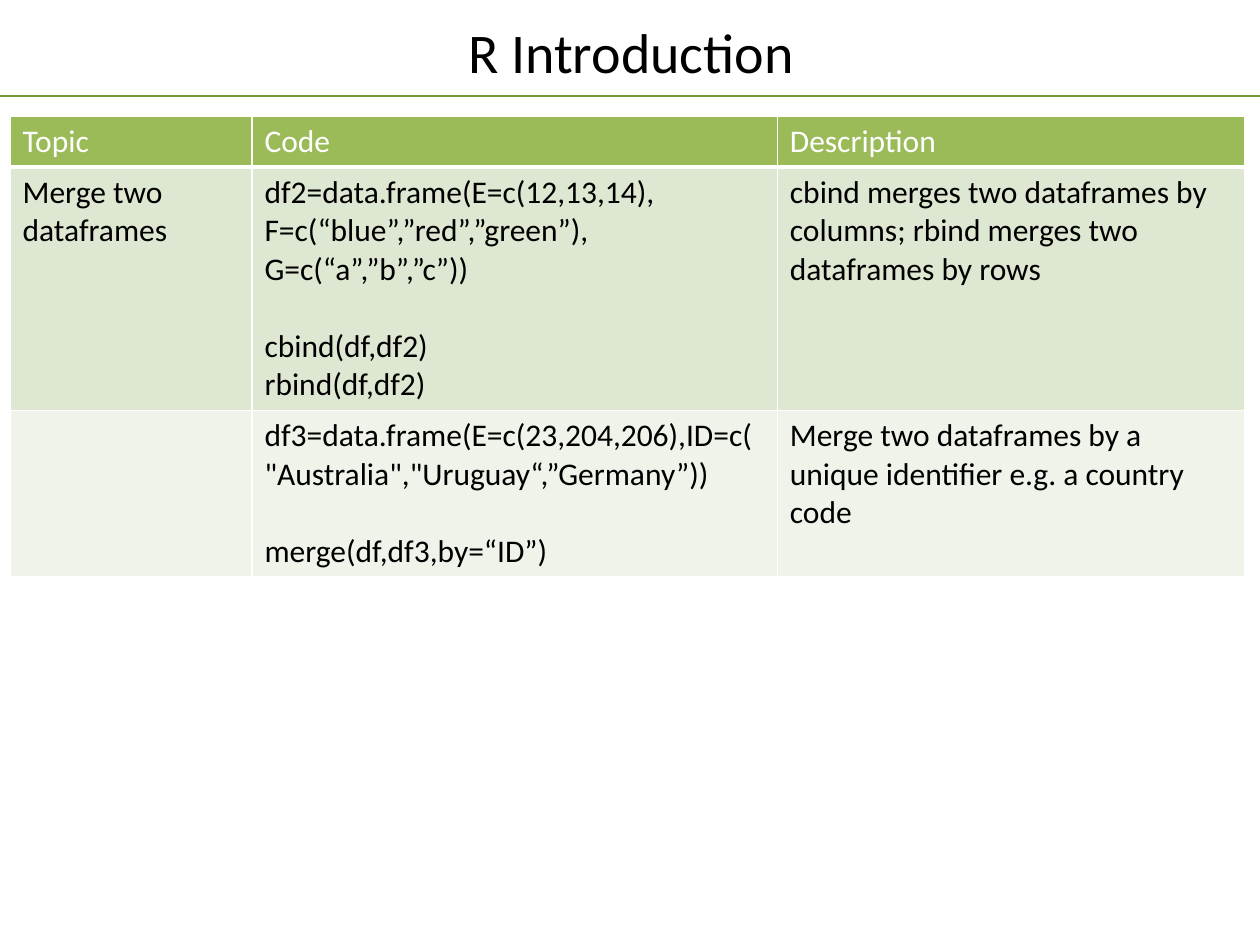
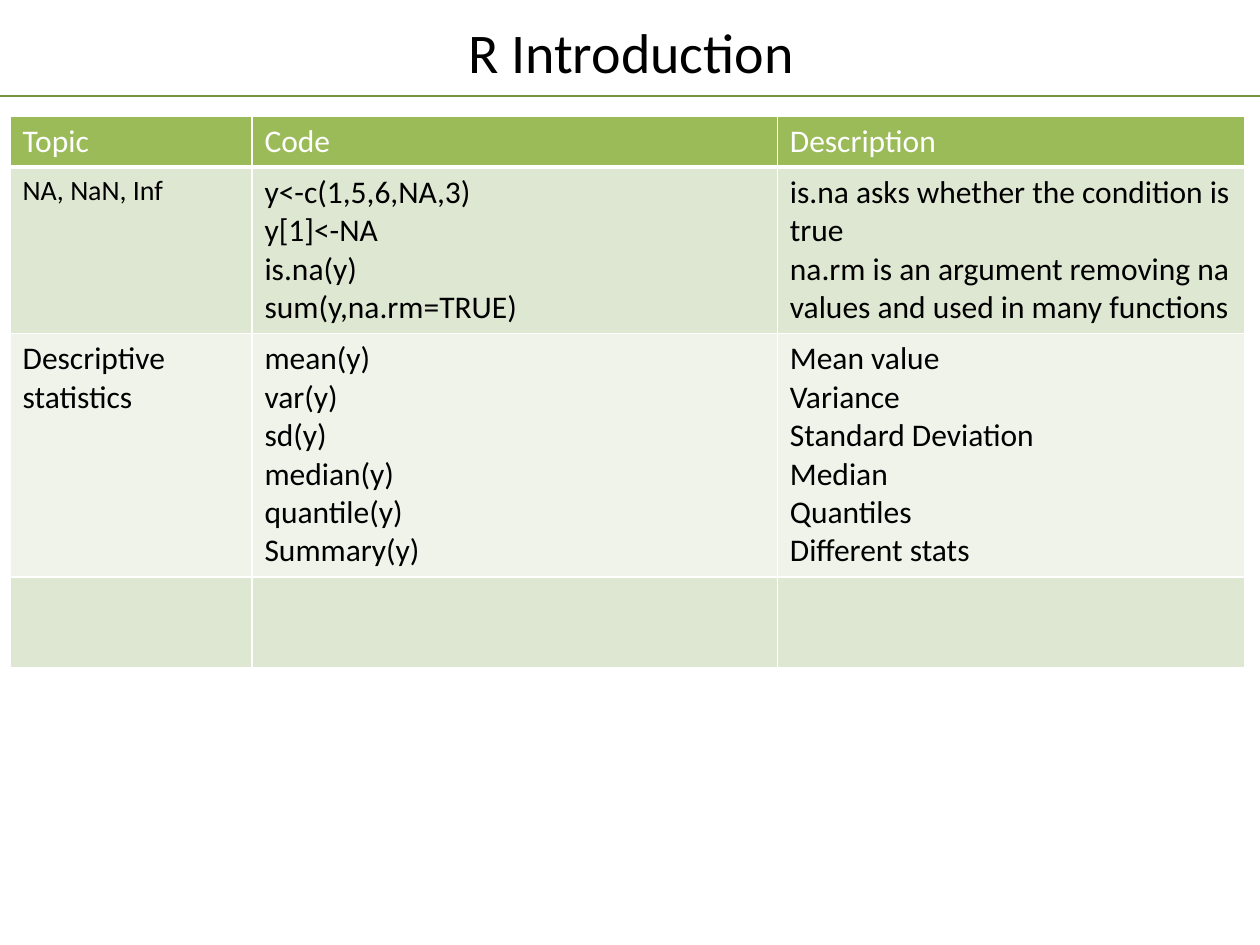
from lxml import etree
from pptx import Presentation
from pptx import util as u
from pptx.dml import color
from pptx.enum import shapes, text
from pptx.oxml import ns

COLORS = {
    "rule": "77933C",
    "header": "9BBB59",
    "band_dark": "DEE7D1",
    "band_light": "EFF3EA",
    "white": "FFFFFF",
    "black": "000000",
}
FONT = "Calibri"
TITLE_SIZE, BODY_SIZE, SMALL_SIZE = 32, 18, 16
LINE_GAP = 22
GRID_COLUMNS, GRID_ROWS = 100, 75
TABLE_COLUMNS = (19.2, 41.7, 37.1)
HEADER_ROW, BODY_ROW = 3.3, 7.2
HEADINGS = ("Topic", "Code", "Description")


class Deck:
    def __init__(self):
        self.presentation = Presentation()
        self.presentation.slide_width = u.Inches(10)
        self.presentation.slide_height = u.Inches(7.5)
        self.slide = None

    def across(self, columns):
        return round(self.presentation.slide_width * columns / GRID_COLUMNS)

    def down(self, rows):
        return round(self.presentation.slide_height * rows / GRID_ROWS)

    def box(self, left, top, width, height):
        return self.across(left), self.down(top), self.across(width), self.down(height)

    def rgb(self, name):
        return color.RGBColor.from_string(COLORS[name])

    def style(self, paragraph, size, color_name):
        font = paragraph.font
        font.name, font.size, font.bold = FONT, u.Pt(size), False
        font.color.rgb = self.rgb(color_name)

    def add_slide(self, title):
        layout = self.presentation.slide_layouts.get_by_name("Title Only")
        self.slide = self.presentation.slides.add_slide(layout)
        self.add_rule(7.6)
        self.add_title(title)

    def add_rule(self, row):
        y = self.down(row)
        rule = self.slide.shapes.add_connector(
            shapes.MSO_CONNECTOR.STRAIGHT, 0, y, self.across(GRID_COLUMNS), y)
        rule.line.color.rgb = self.rgb("rule")
        rule.line.width = u.Pt(1)
        etree.SubElement(rule.element.spPr, ns.qn("a:effectLst"))

    def add_title(self, title):
        shape = self.slide.shapes.title
        shape.left, shape.top, shape.width, shape.height = self.box(14.6, 0.5, 71, 7.1)
        frame = shape.text_frame
        frame.text = title
        frame.auto_size = text.MSO_AUTO_SIZE.NONE
        frame.vertical_anchor = text.MSO_ANCHOR.MIDDLE
        paragraph = frame.paragraphs[0]
        paragraph.alignment = text.PP_ALIGN.CENTER
        self.style(paragraph, TITLE_SIZE, "black")

    def add_borders(self, cell, bottom):
        properties = cell._tc.get_or_add_tcPr()
        for side, width in (("L", 1), ("R", 1), ("T", 1), ("B", bottom)):
            line = etree.SubElement(properties, ns.qn(f"a:ln{side}"), w=str(u.Pt(width)))
            fill = etree.SubElement(line, ns.qn("a:solidFill"))
            etree.SubElement(fill, ns.qn("a:srgbClr"), val=COLORS["white"])

    def fill_cell(self, cell, content, fill, color_name, size=BODY_SIZE, bottom=1):
        self.add_borders(cell, bottom)
        cell.fill.solid()
        cell.fill.fore_color.rgb = self.rgb(fill)
        blocks = content.split("\n\n")
        cell.text = "\n".join(blocks)
        for paragraph in cell.text_frame.paragraphs:
            self.style(paragraph, size, color_name)
        start = 0
        for block in blocks[:-1]:
            start += len(block.split("\n"))
            cell.text_frame.paragraphs[start].space_before = u.Pt(LINE_GAP)

    def add_table(self, body, small=()):
        heights = [HEADER_ROW] + [BODY_ROW] * len(body)
        frame = self.slide.shapes.add_table(
            len(heights), len(TABLE_COLUMNS),
            *self.box(0.8, 9.2, sum(TABLE_COLUMNS), sum(heights)))
        table = frame.table
        for column, width in zip(table.columns, TABLE_COLUMNS):
            column.width = self.across(width)
        for row, height in zip(table.rows, heights):
            row.height = self.down(height)
        for cell, heading in zip(table.rows[0].cells, HEADINGS):
            self.fill_cell(cell, heading, "header", "white", bottom=3)
        for index, contents in enumerate(body):
            band = "band_light" if index % 2 else "band_dark"
            for cell, content in zip(table.rows[index + 1].cells, contents):
                size = SMALL_SIZE if content in small else BODY_SIZE
                self.fill_cell(cell, content, band, "black", size)


MERGING = [
    ("Merge two dataframes",
     "df2=data.frame(E=c(12,13,14), F=c(“blue”,”red”,”green”), G=c(“a”,”b”,”c”))"
     "\n\ncbind(df,df2)\nrbind(df,df2)",
     "cbind merges two dataframes by columns; rbind merges two dataframes by rows"),
    ("",
     'df3=data.frame(E=c(23,204,206),ID=c("Australia","Uruguay“,”Germany”))'
     "\n\nmerge(df,df3,by=“ID”)",
     "Merge two dataframes by a unique identifier e.g. a country code"),
]
STATISTICS = [
    ("NA, NaN, Inf",
     "y<-c(1,5,6,NA,3)\ny[1]<-NA\nis.na(y)\nsum(y,na.rm=TRUE)",
     "is.na asks whether the condition is true\n"
     "na.rm is an argument removing na values and used in many functions"),
    ("Descriptive statistics",
     "mean(y)\nvar(y)\nsd(y)\nmedian(y)\nquantile(y)\nSummary(y)",
     "Mean value\nVariance\nStandard Deviation\nMedian\nQuantiles\nDifferent stats"),
    ("", "", ""),
]

deck = Deck()
deck.add_slide("R Introduction")
deck.add_table(MERGING)
deck.add_slide("R Introduction")
deck.add_table(STATISTICS, small=("NA, NaN, Inf",))
deck.presentation.save("out.pptx")
